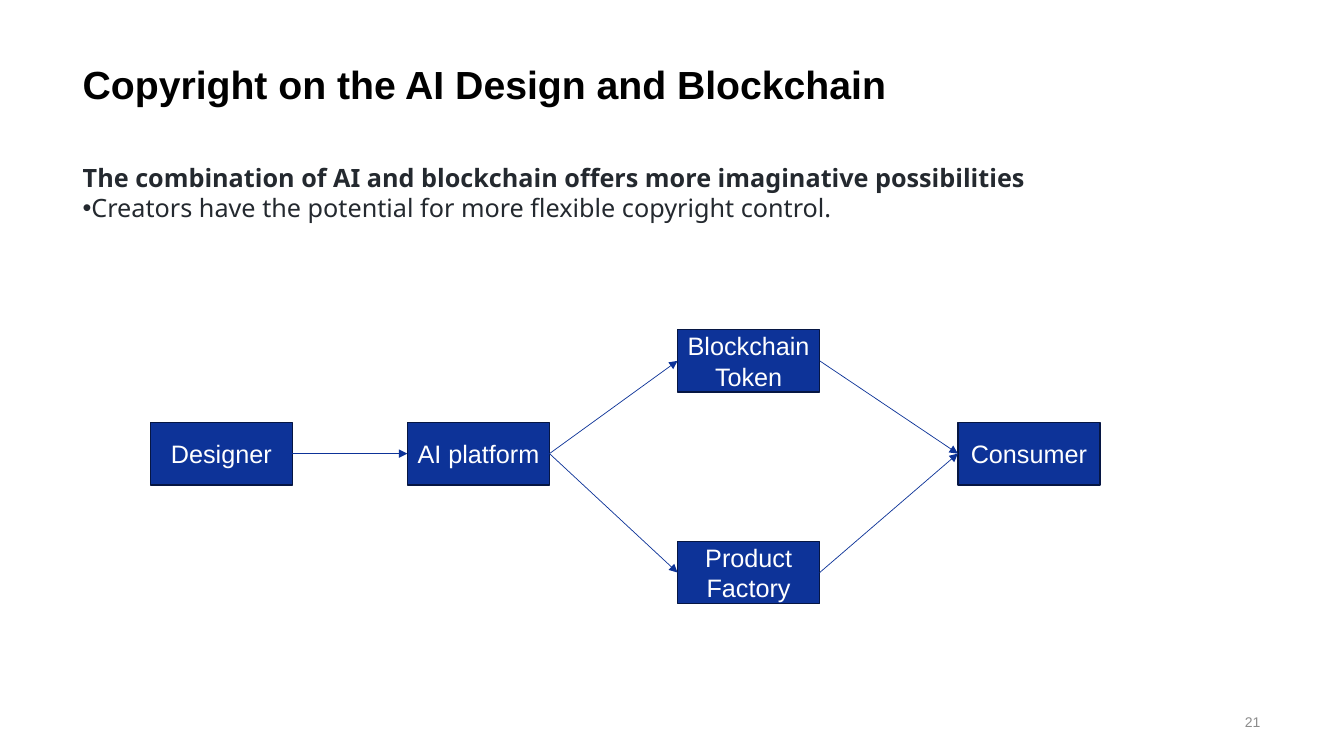
from lxml import etree
from pptx import Presentation
from pptx import util as u
from pptx.dml.color import RGBColor
from pptx.enum import shapes, text
from pptx.oxml import ns

BLACK = RGBColor(0x00, 0x00, 0x00)
WHITE = RGBColor(0xFF, 0xFF, 0xFF)
GRAY = RGBColor(0x8C, 0x8C, 0x8C)
INK = RGBColor(0x24, 0x29, 0x2F)
BLUE = RGBColor(0x0D, 0x33, 0x98)
NAVY = RGBColor(0x06, 0x16, 0x43)

LEFT_SITE, RIGHT_SITE = 1, 3


def apply(target, values):
    for name, value in values.items():
        setattr(target, name, value)


class FlowSlide:
    """Holds the style and the current slide."""

    title_font = dict(name="Arial", size=u.Pt(28), bold=True)
    body_font = dict(name="Noto Sans", size=u.Pt(18))
    box_font = dict(name="Arial", size=u.Pt(18), bold=False)
    number_font = dict(name="Arial", size=u.Pt(10), bold=False)
    box_size = (1.41, 0.62)

    def __init__(self, presentation):
        self.slide = presentation.slides.add_slide(presentation.slide_layouts[1])

    def place(self, shape, left, top, width, height):
        apply(shape, dict(left=u.Inches(left), top=u.Inches(top),
                          width=u.Inches(width), height=u.Inches(height)))

    def set_text(self, paragraph, words, font, color, **layout):
        paragraph.text = words
        apply(paragraph, layout)
        apply(paragraph.font, font)
        paragraph.font.color.rgb = color

    def title(self, words, *bounds):
        shape = self.slide.shapes.title
        self.place(shape, *bounds)
        apply(shape.text_frame, dict(vertical_anchor=text.MSO_ANCHOR.BOTTOM,
                                     auto_size=text.MSO_AUTO_SIZE.NONE))
        self.set_text(shape.text_frame.paragraphs[0], words, self.title_font, BLACK,
                      alignment=text.PP_ALIGN.LEFT)

    def body(self, heading, bullets, *bounds):
        shape = self.slide.placeholders[1]
        self.place(shape, *bounds)
        frame = shape.text_frame
        frame.auto_size = text.MSO_AUTO_SIZE.NONE
        for index, words in enumerate([heading, *bullets]):
            paragraph = frame.add_paragraph() if index else frame.paragraphs[0]
            properties = paragraph._p.get_or_add_pPr()
            properties.set("marL", "0")
            properties.set("indent", "0")
            if index:
                etree.SubElement(properties, ns.qn("a:buFont"), typeface="Arial")
                etree.SubElement(properties, ns.qn("a:buChar"), char="•")
            else:
                etree.SubElement(properties, ns.qn("a:buNone"))
            self.set_text(paragraph, words, dict(self.body_font, bold=index == 0), INK,
                          space_before=u.Pt(0), line_spacing=u.Pt(21.5))

    def box(self, lines, left, top):
        shape = self.slide.shapes.add_shape(
            shapes.MSO_SHAPE.RECTANGLE, u.Inches(left), u.Inches(top),
            *map(u.Inches, self.box_size))
        shape.shadow.inherit = False
        shape.fill.solid()
        shape.fill.fore_color.rgb = BLUE
        shape.line.color.rgb = NAVY
        shape.line.width = u.Pt(1)
        frame = shape.text_frame
        apply(frame, dict(word_wrap=True, vertical_anchor=text.MSO_ANCHOR.MIDDLE,
                          margin_left=u.Inches(0.05), margin_right=u.Inches(0.05)))
        for index, words in enumerate(lines):
            paragraph = frame.add_paragraph() if index else frame.paragraphs[0]
            self.set_text(paragraph, words, self.box_font, WHITE,
                          alignment=text.PP_ALIGN.CENTER)
        return shape

    def arrow(self, source, target):
        connector = self.slide.shapes.add_connector(
            shapes.MSO_CONNECTOR.STRAIGHT, 0, 0, 0, 0)
        connector.begin_connect(source, RIGHT_SITE)
        connector.end_connect(target, LEFT_SITE)
        connector.line.color.rgb = BLUE
        connector.line.width = u.Pt(0.5)
        properties = connector._element.spPr
        etree.SubElement(properties.find(ns.qn("a:ln")), ns.qn("a:tailEnd"),
                         type="triangle")
        etree.SubElement(properties, ns.qn("a:effectLst"))

    def page_number(self, number, *bounds):
        shape = self.slide.shapes.add_textbox(*map(u.Inches, bounds))
        apply(shape.text_frame, dict(word_wrap=True,
                                     vertical_anchor=text.MSO_ANCHOR.MIDDLE))
        self.set_text(shape.text_frame.paragraphs[0], number, self.number_font, GRAY,
                      alignment=text.PP_ALIGN.RIGHT)


def main():
    presentation = Presentation()
    presentation.slide_width = u.Inches(13.33)
    presentation.slide_height = u.Inches(7.5)
    page = FlowSlide(presentation)

    # Heading and statement
    page.title("Copyright on the AI Design and Blockchain", 0.72, 0.14, 11.88, 0.98)
    page.body("The combination of AI and blockchain offers more imaginative possibilities",
              ["Creators have the potential for more flexible copyright control."],
              0.72, 1.56, 11.3, 0.69)
    page.page_number("21", 8.6, 7.01, 4, 0.3)

    # Flow boxes
    middle = 4.19
    designer = page.box(["Designer"], 1.49, middle)
    platform = page.box(["AI platform"], 4.04, middle)
    token = page.box(["Blockchain", "Token"], 6.72, 3.27)
    factory = page.box(["Product", "Factory"], 6.72, 5.37)
    consumer = page.box(["Consumer"], 9.5, middle)

    # Arrows
    page.arrow(designer, platform)
    for branch in (token, factory):
        page.arrow(platform, branch)
        page.arrow(branch, consumer)

    presentation.save("out.pptx")


if __name__ == "__main__":
    main()
